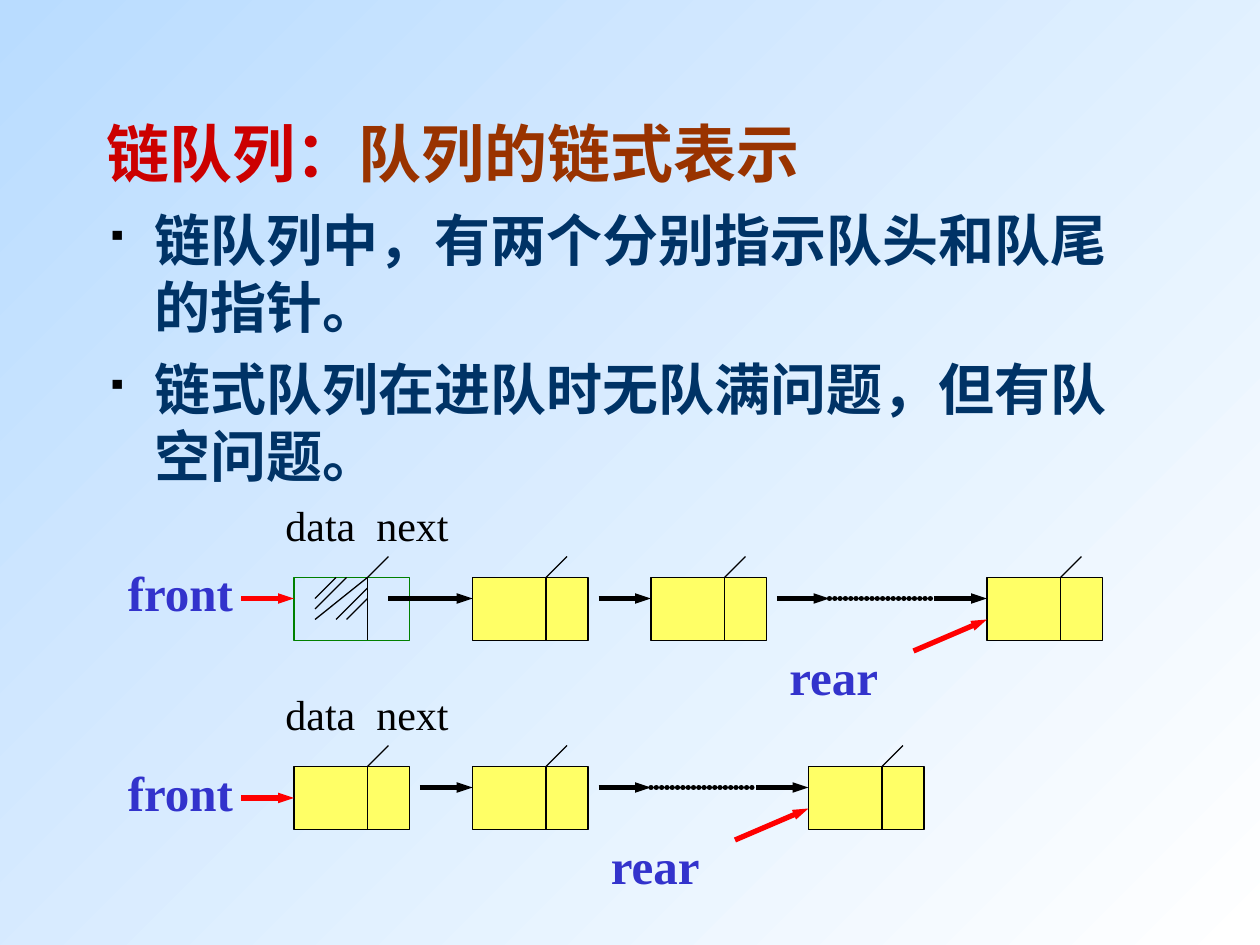
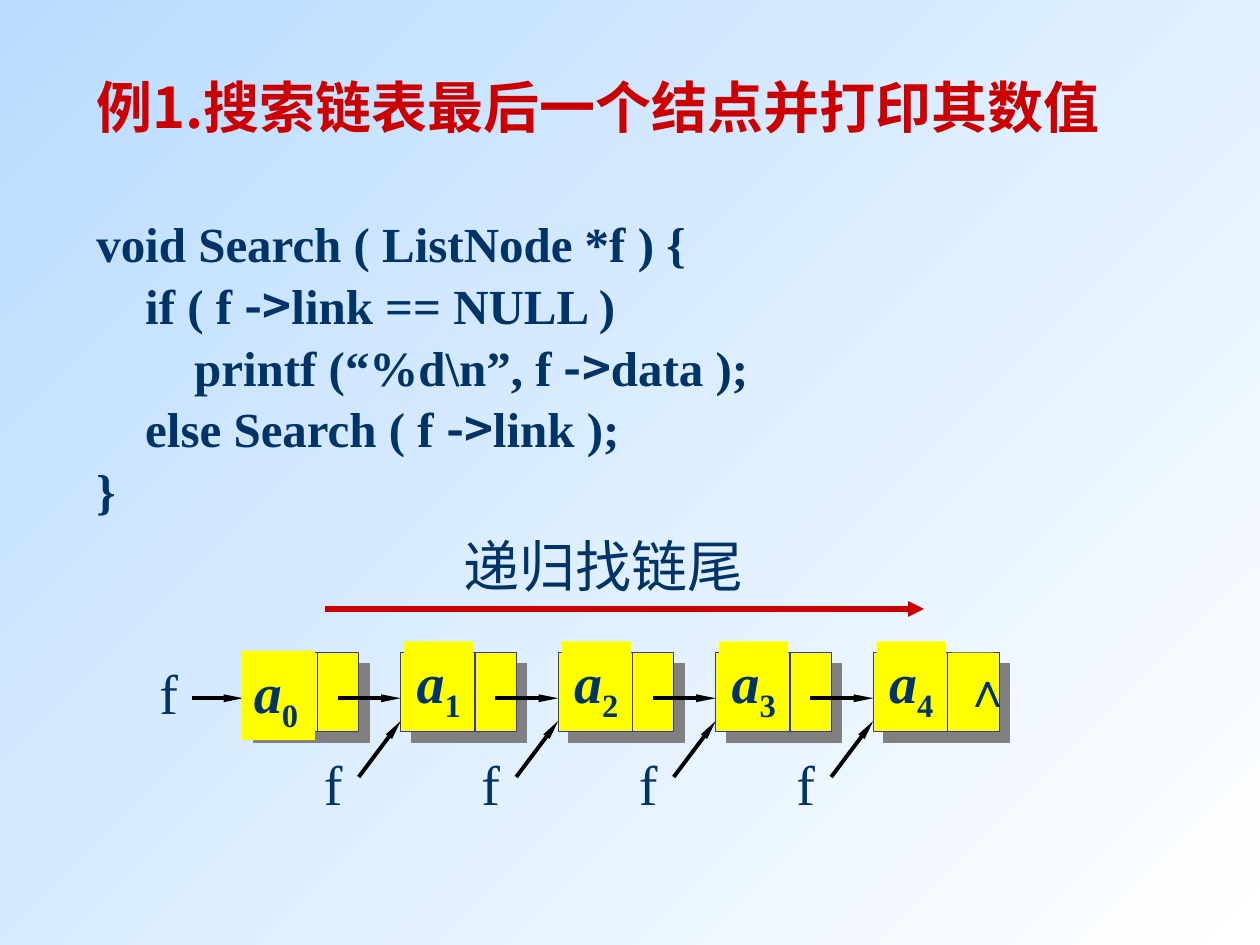
from dataclasses import dataclass
from typing import Optional

from lxml.etree import SubElement
from pptx import Presentation
from pptx.dml.color import RGBColor
from pptx.enum.shapes import MSO_CONNECTOR, MSO_SHAPE
from pptx.enum.text import MSO_ANCHOR, PP_ALIGN
from pptx.oxml.ns import qn
from pptx.util import Pt

SERIF, CJK, SANS = "Times New Roman", "Noto Sans CJK SC", "Arial"
BLACK, NAVY, RED, BROWN = "000000", "003366", "CC0000", "993300"
BLUE, POINTER_RED, GREEN, SHADOW = "3333CC", "FF0000", "008000", "808080"
PALE_YELLOW, YELLOW = "FFFF66", "FFFF00"
SKY, WHITE = "B9DCFF", "FFFFFF"


@dataclass(frozen=True)
class Style:
    """Look of a run of text."""
    size: float
    color: str = NAVY
    bold: bool = False
    italic: bool = False
    font: str = SERIF
    baseline: int = 0


@dataclass(frozen=True)
class Stroke:
    """Look of a line, with the arrowhead as (width, length)."""
    color: str = BLACK
    width: float = 0.75
    head: Optional[tuple[str, str]] = None
    dotted: bool = False


@dataclass(frozen=True)
class Queue:
    """One linked queue: top edge, node positions, and its front pointer."""
    top: float
    nodes: tuple[float, ...]
    front_drop: float
    has_head_node: bool


@dataclass(frozen=True)
class Box:
    """Rectangle in points."""
    left: float
    top: float
    width: float
    height: float

    def lengths(self) -> list[Pt]:
        """Give the four lengths for python-pptx."""
        return [Pt(v) for v in (self.left, self.top, self.width, self.height)]


THIN = Stroke()
HEADING = Style(36, RED, True)
POINT = Style(32, NAVY, True)
FIELD = Style(24, BLACK)
END_NAME = Style(28, BLUE, True)
CODE = Style(28, NAVY, True)
CODE_ARROW = Style(28, NAVY, True, font=CJK)
PLAIN = Style(32)
ELEMENT = Style(32, NAVY, True, True)
INDEX = Style(32, NAVY, True, baseline=-25000)
LINK = Stroke(BLACK, 3, ("sm", "med"))
QUEUE_END = Stroke(POINTER_RED, 3, ("sm", "med"))
DOTS = Stroke(BLACK, 3, dotted=True)
CELL_EDGE = Stroke(BLUE)
LIST_LINK = Stroke(BLACK, 2.25, ("sm", "lg"))

NODE_WIDTH, NODE_HEIGHT, NODE_SPLIT = 66, 36, 42
QUEUES = (
    Queue(330, (168, 270, 372, 564), 12, True),
    Queue(438, (168, 270, 462), 18, False),
)
HATCHES = ((30, 0, 12, 18), (42, 6, 24, 24), (42, 0, 12, 24), (42, 12, 30, 24), (24, 0, 12, 12))
POINTS = ("链队列中，有两个分别指示队头和队尾的指针。", "链式队列在进队时无队满问题，但有队空问题。")
CODE_LINES = (
    "void Search ( ListNode *f ) {",
    "    if ( f ->link == NULL )",
    "        printf (“%d\\n”, f ->data );",
    "    else Search ( f ->link );",
    "}",
)
LIST_LEFT, LIST_TOP, LIST_PITCH, LIST_LENGTH = 139, 373, 90, 5


def rgb(color: str) -> RGBColor:
    """Turn a hex string into a colour."""
    return RGBColor.from_string(color)


def add_run(paragraph, text: str, style: Style) -> None:
    """Append one styled run."""
    run = paragraph.add_run()
    run.text = text
    font = run.font
    font.size, font.bold, font.italic, font.name = Pt(style.size), style.bold, style.italic, style.font
    font.color.rgb = rgb(style.color)
    properties = run._r.get_or_add_rPr()
    SubElement(properties, qn("a:ea"), typeface=CJK)
    if style.baseline:
        properties.set("baseline", str(style.baseline))


def add_text(slide, box: Box, *runs: tuple[str, Style], wrap: bool = False, fill: Optional[str] = None):
    """Add a text box whose first paragraph holds the runs."""
    shape = slide.shapes.add_textbox(*box.lengths())
    if fill:
        shape.fill.solid()
        shape.fill.fore_color.rgb = rgb(fill)
    frame = shape.text_frame
    frame.word_wrap = wrap
    frame.paragraphs[0].alignment = PP_ALIGN.LEFT
    for text, style in runs:
        add_run(frame.paragraphs[0], text, style)
    return frame


def add_line(slide, start: tuple[float, float], end: tuple[float, float], stroke: Stroke) -> None:
    """Draw a straight line with an optional arrowhead at its end."""
    connector = slide.shapes.add_connector(
        MSO_CONNECTOR.STRAIGHT, *(Pt(v) for v in (*start, *end)))
    connector.line.width = Pt(stroke.width)
    connector.line.color.rgb = rgb(stroke.color)
    outline = connector.line._get_or_add_ln()
    if stroke.dotted:
        outline.set("cap", "rnd")
        dashes = SubElement(outline, qn("a:custDash"))
        SubElement(dashes, qn("a:ds"), d="100000", sp="1000")
    if stroke.head:
        width, length = stroke.head
        SubElement(outline, qn("a:tailEnd"), type="triangle", w=width, len=length)
    SubElement(connector._element.spPr, qn("a:effectLst"))


def add_node(slide, box: Box, split: float, fill: Optional[str], edge: str,
             divider: Stroke, shadowed: bool = False) -> None:
    """Draw a list node divided into a data part and a link part."""
    node = slide.shapes.add_shape(MSO_SHAPE.RECTANGLE, *box.lengths())
    node.shadow.inherit = False
    if fill:
        node.fill.solid()
        node.fill.fore_color.rgb = rgb(fill)
    else:
        node.fill.background()
    node.line.color.rgb = rgb(edge)
    node.line.width = Pt(0.75)
    if shadowed:
        effects = node._element.spPr.find(qn("a:effectLst"))
        cast = SubElement(effects, qn("a:outerShdw"), dist=str(Pt(8.5)), dir="2700000",
                          algn="ctr", rotWithShape="0")
        SubElement(cast, qn("a:srgbClr"), val=SHADOW)
    middle = box.left + split
    add_line(slide, (middle, box.top), (middle, box.top + box.height), divider)


def add_slide(deck):
    """Add a blank slide with the shared gradient background."""
    slide = deck.slides.add_slide(deck.slide_layouts[6])
    fill = slide.background.fill
    fill.gradient()
    fill.gradient_angle = 315
    for stop, color, position in zip(fill.gradient_stops, (SKY, WHITE), (0, 1)):
        stop.color.rgb = rgb(color)
        stop.position = position
    return slide


def add_bullet(paragraph) -> None:
    """Give a paragraph the small square bullet and hanging indent."""
    properties = paragraph._p.get_or_add_pPr()
    properties.set("marL", str(Pt(27)))
    properties.set("indent", str(-Pt(27)))
    color = SubElement(properties, qn("a:buClr"))
    SubElement(color, qn("a:srgbClr"), val=BLACK)
    SubElement(properties, qn("a:buSzPct"), val="50000")
    SubElement(properties, qn("a:buChar"), char="▪")


def draw_queue(slide, queue: Queue) -> None:
    """Draw a queue with its nodes, links and end pointers."""
    top, link_y = queue.top, queue.top + 12
    first, last = queue.nodes[0], queue.nodes[-1]
    fields = add_text(slide, Box(156, top - 48, 132, 36), ("data\tnext", FIELD), wrap=True)
    tabs = SubElement(fields.paragraphs[0]._p.get_or_add_pPr(), qn("a:tabLst"))
    SubElement(tabs, qn("a:tab"), pos=str(Pt(52)), algn="l")

    for left in queue.nodes:
        is_head = queue.has_head_node and left == first
        add_node(slide, Box(left, top, NODE_WIDTH, NODE_HEIGHT), NODE_SPLIT,
                 None if is_head else PALE_YELLOW, GREEN if is_head else BLACK, THIN)
        split = left + NODE_SPLIT
        add_line(slide, (split, top), (split + 12, top - 12), THIN)
    if queue.has_head_node:
        for x1, y1, x2, y2 in HATCHES:
            add_line(slide, (first + x1, top + y1), (first + x2, top + y2), THIN)

    for left, following in zip(queue.nodes, queue.nodes[1:]):
        start = left + (54 if queue.has_head_node and left == first else 72)
        if following == last:
            add_line(slide, (start, link_y), (start + 30, link_y), LINK)
            add_line(slide, (start + 30, link_y), (last - 30, link_y), DOTS)
            start = last - 30
        add_line(slide, (start, link_y), (following, link_y), LINK)

    front_y = top + queue.front_drop
    add_text(slide, Box(66, front_y - 24, 75, 41), ("front", END_NAME))
    add_line(slide, (first - 30, front_y), (first, front_y), QUEUE_END)
    add_text(slide, Box(last - 120, top + 36, 65.5, 41), ("rear", END_NAME))
    add_line(slide, (last - 42, top + 42), (last, top + 24), QUEUE_END)


def build_queue_slide(deck) -> None:
    """Build the slide on the linked form of a queue."""
    slide = add_slide(deck)
    title = add_text(slide, Box(54, 48, 612, 78), ("链队列：", HEADING),
                     ("队列的链式表示", Style(36, BROWN, True)), wrap=True)
    title.vertical_anchor = MSO_ANCHOR.MIDDLE
    points = add_text(slide, Box(54, 114, 612, 180), wrap=True)
    for number, point in enumerate(POINTS):
        paragraph = points.add_paragraph() if number else points.paragraphs[0]
        add_bullet(paragraph)
        if number:
            paragraph.space_before = Pt(8)
        add_run(paragraph, point, POINT)
    for queue in QUEUES:
        draw_queue(slide, queue)


def draw_list(slide) -> None:
    """Draw the linked list that the search walks along."""
    link_y = LIST_TOP + 26
    lefts = [LIST_LEFT + LIST_PITCH * i for i in range(LIST_LENGTH)]
    for i, left in enumerate(lefts):
        width = 72 if i == LIST_LENGTH - 1 else 66
        add_node(slide, Box(left, LIST_TOP, width, 45), 42.4, YELLOW, BLUE, CELL_EDGE, True)
        add_line(slide, (left - (36 if i else 29.5), link_y), (left, link_y), LIST_LINK)
        if i:
            add_line(slide, (left - 24, 444), (left, 412), LIST_LINK)
        name_at = (left - 51, 425) if i else (84, LIST_TOP)
        add_text(slide, Box(*name_at, 33, 46), ("f", PLAIN))
    add_text(slide, Box(543.6, LIST_TOP, 24, 41),
             ("∧", Style(28, NAVY, True, font=SANS)), fill=YELLOW)
    for i, left in enumerate(lefts):
        label = Box(left + 2, 366.5, 39.6, 51) if i else Box(138, 372, 42, 51)
        add_text(slide, label, ("a", ELEMENT), (str(i), INDEX), wrap=not i, fill=YELLOW)


def build_search_slide(deck) -> None:
    """Build the slide on finding the last node by recursion."""
    slide = add_slide(deck)
    listing = add_text(slide, Box(48, 36, 606, 304.5),
                       ("例1.搜索链表最后一个结点并打印其数值", Style(32, RED, True, font=CJK)), wrap=True)
    for number, line in enumerate(CODE_LINES):
        paragraph = listing.add_paragraph()
        if not number:
            paragraph.space_before = Pt(40.5)
        before, arrow, after = line.partition("->")
        for text, style in ((before, CODE), (arrow, CODE_ARROW), (after, CODE)):
            if text:
                add_run(paragraph, text, style)
    for paragraph in listing.paragraphs:
        paragraph.line_spacing = 1.05
    draw_list(slide)
    add_line(slide, (186, 348), (528, 348), Stroke(RED, 3, ("med", "med")))
    add_text(slide, Box(258, 300, 190, 46), ("递归找链尾", PLAIN))


def main() -> None:
    """Build and save the deck."""
    deck = Presentation()
    deck.slide_width, deck.slide_height = Pt(720), Pt(540)
    build_queue_slide(deck)
    build_search_slide(deck)
    deck.save("out.pptx")


if __name__ == "__main__":
    main()
